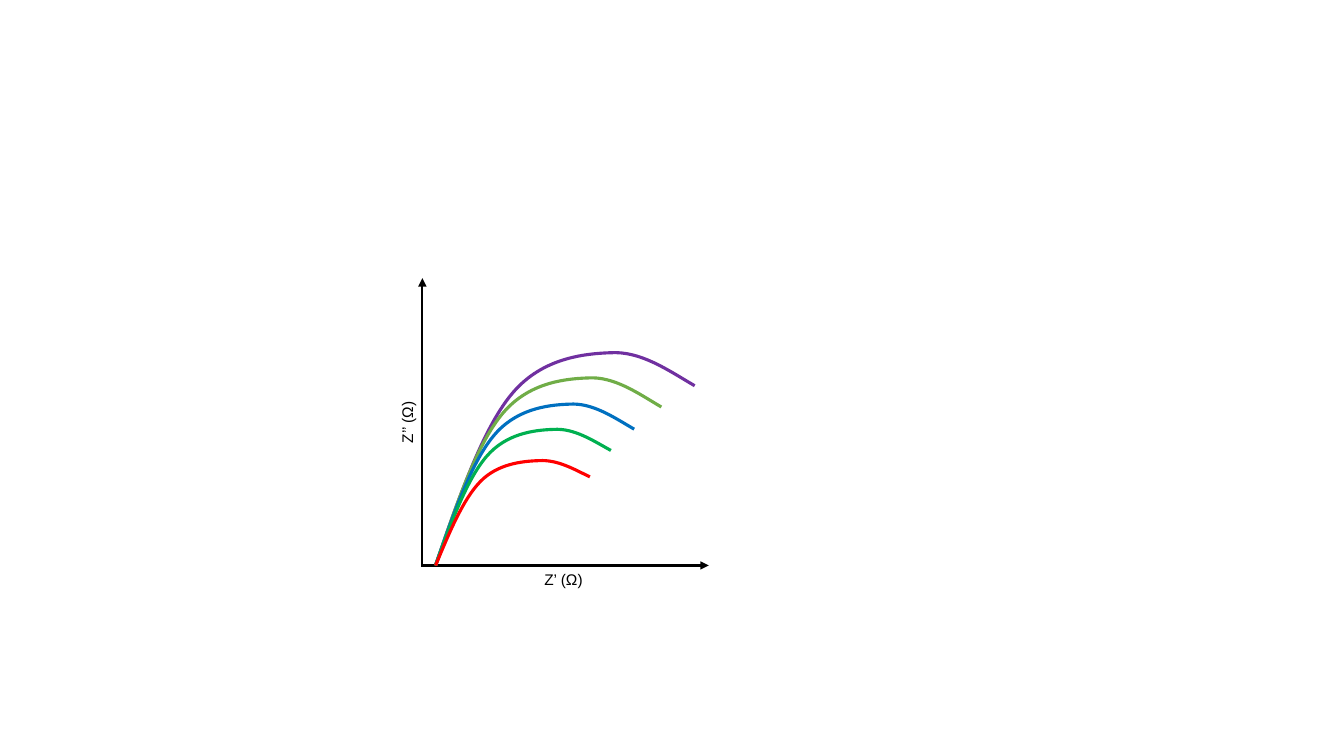
from dataclasses import dataclass

from lxml import etree
from pptx import Presentation
from pptx.dml.color import RGBColor
from pptx.enum.shapes import MSO_CONNECTOR
from pptx.enum.text import MSO_AUTO_SIZE
from pptx.oxml.ns import qn
from pptx.slide import Slide
from pptx.util import Inches, Pt

STRAIGHT = MSO_CONNECTOR.STRAIGHT
FIT_SHAPE = MSO_AUTO_SIZE.SHAPE_TO_FIT_TEXT
SLIDE_W, SLIDE_H = Inches(13.33), Inches(7.5)
BLANK_LAYOUT = 6


@dataclass(frozen=True)
class Theme:
    ink: str = "000000"
    purple: str = "7030A0"
    olive: str = "70AD47"
    blue: str = "0070C0"
    green: str = "00B050"
    red: str = "FF0000"
    font: str = "Arial"
    label_pt: float = 11
    axis_pt: float = 1.5
    curve_pt: float = 2.25


@dataclass(frozen=True)
class Axis:
    x1: float
    y1: float
    x2: float
    y2: float


@dataclass(frozen=True)
class Label:
    text: str
    left: float
    top: float
    rotation: float = 0


@dataclass(frozen=True)
class Curve:
    color: str
    width: float
    height: float


THEME = Theme()

# Positions and sizes are percentages of the slide's width and height.
BASE_Y = 74.8
START_X = 32.41
LABEL_W, LABEL_H = 4.65, 3.87
AXES = [
    Axis(31.36, BASE_Y, 52.74, BASE_Y),
    Axis(31.43, BASE_Y, 31.43, 36.8),
]
LABELS = [
    Label("Z’ (Ω)", 39.76, BASE_Y),
    Label("Z’’ (Ω)", 27.98, 53.87, 270),
]
CURVES = [
    Curve(THEME.purple, 19.28, 28.13),
    Curve(THEME.olive, 16.8, 24.8),
    Curve(THEME.blue, 14.78, 21.33),
    Curve(THEME.green, 13.05, 18),
    Curve(THEME.red, 11.48, 13.87),
]
# Bezier points shared by all curves, in percent of each curve's width and height.
ARC = [
    (9, 31.75), (18, 63.5), (29, 80),
    (40, 96.7), (55.6, 99.5), (67.3, 100),
    (79, 101), (89.5, 92), (100, 84.5),
]


def across(share: float) -> int:
    return round(SLIDE_W * share / 100)


def down(share: float) -> int:
    return round(SLIDE_H * share / 100)


def set_line(sp, color: str, points: float) -> None:
    sp.line.color.rgb = RGBColor.from_string(color)
    sp.line.width = Pt(points)


def draw_axis(slide: Slide, axis: Axis) -> None:
    line = slide.shapes.add_connector(
        STRAIGHT, across(axis.x1), down(axis.y1), across(axis.x2), down(axis.y2))
    set_line(line, THEME.ink, THEME.axis_pt)
    props = line._element.spPr
    etree.SubElement(props.find(qn("a:ln")), qn("a:tailEnd"), type="triangle")
    etree.SubElement(props, qn("a:effectLst"))


def draw_label(slide: Slide, label: Label) -> None:
    box = slide.shapes.add_textbox(
        across(label.left), down(label.top), across(LABEL_W), down(LABEL_H))
    box.rotation = label.rotation
    tf = box.text_frame
    tf.word_wrap = True
    tf.auto_size = FIT_SHAPE
    r = tf.paragraphs[0].add_run()
    r.text = label.text
    for name, value in {"name": THEME.font, "size": Pt(THEME.label_pt)}.items():
        setattr(r.font, name, value)
    r.font.color.rgb = RGBColor.from_string(THEME.ink)


def bend(sp) -> None:
    """Turn each three straight segments of the outline into one cubic Bezier."""
    segments = list(sp._element.iter(qn("a:lnTo")))
    for i in range(0, len(segments), 3):
        cubic = etree.Element(qn("a:cubicBezTo"))
        segments[i].addprevious(cubic)
        for segment in segments[i:i + 3]:
            cubic.append(segment[0])
            segment.getparent().remove(segment)


def draw_curve(slide: Slide, curve: Curve) -> None:
    builder = slide.shapes.build_freeform(across(START_X), down(BASE_Y))
    builder.add_line_segments(
        [(across(START_X + curve.width * x / 100),
          down(BASE_Y - curve.height * y / 100)) for x, y in ARC],
        close=False)
    sp = builder.convert_to_shape()
    bend(sp)
    sp.fill.background()
    set_line(sp, curve.color, THEME.curve_pt)
    sp.shadow.inherit = False


def main() -> None:
    prs = Presentation()
    prs.slide_width, prs.slide_height = SLIDE_W, SLIDE_H
    slide = prs.slides.add_slide(prs.slide_layouts[BLANK_LAYOUT])
    for axis in AXES:
        draw_axis(slide, axis)
    for label in LABELS:
        draw_label(slide, label)
    for curve in CURVES:
        draw_curve(slide, curve)
    prs.save("out.pptx")


if __name__ == "__main__":
    main()
